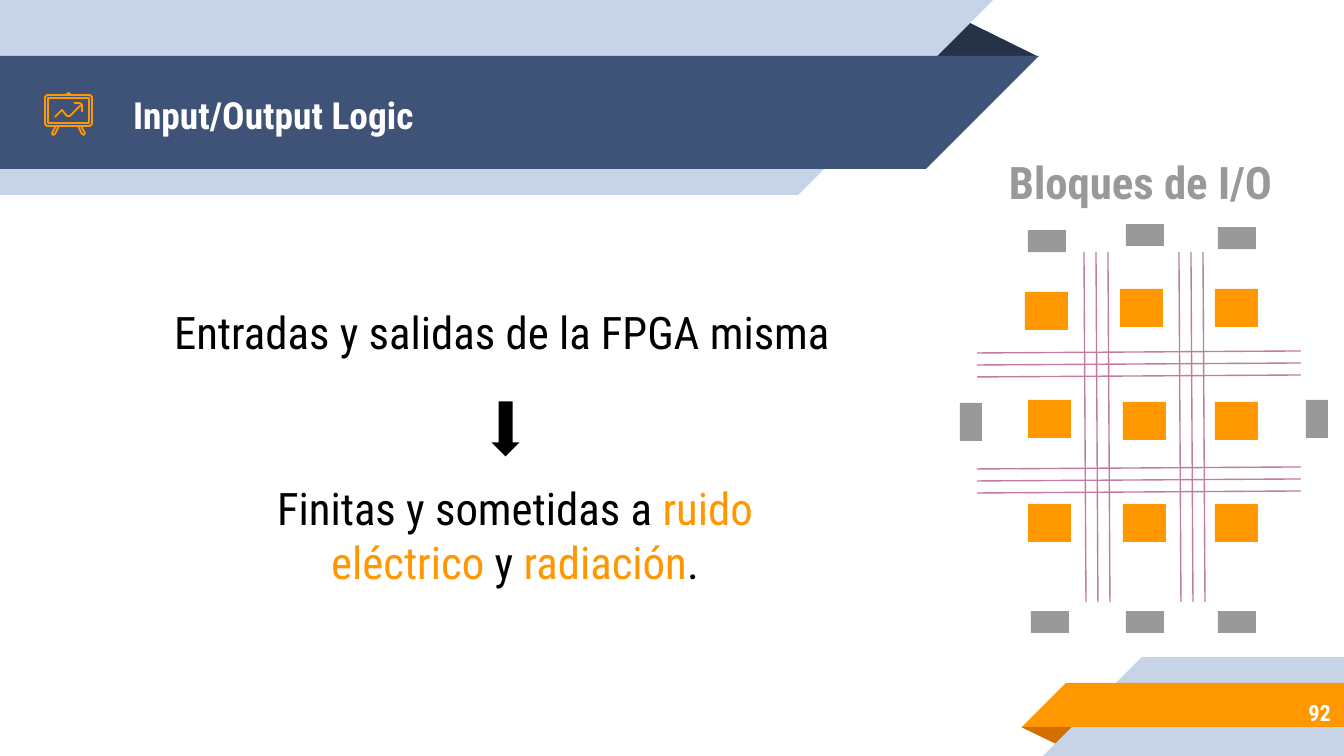
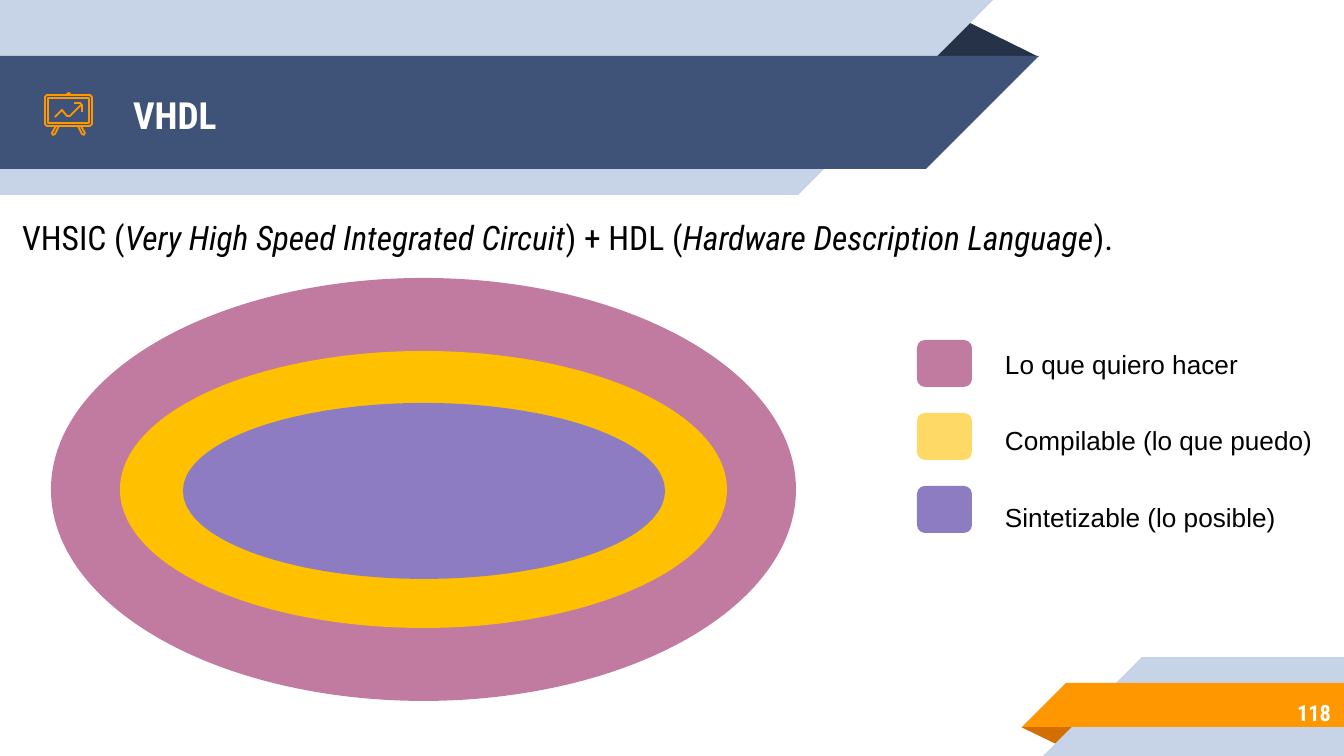
"""Build two FPGA course slides: input/output logic and VHDL."""
from dataclasses import dataclass

from lxml import etree
from pptx import Presentation
from pptx.dml.color import RGBColor
from pptx.enum.shapes import MSO_CONNECTOR, MSO_SHAPE
from pptx.enum.text import MSO_ANCHOR, PP_ALIGN
from pptx.oxml.ns import qn
from pptx.util import Pt

RECT, ROUND, ELLIPSE = MSO_SHAPE.RECTANGLE, MSO_SHAPE.ROUNDED_RECTANGLE, MSO_SHAPE.OVAL
TRIANGLE, CORNER = MSO_SHAPE.ISOSCELES_TRIANGLE, MSO_SHAPE.RIGHT_TRIANGLE
ARROW, STRAIGHT = MSO_SHAPE.RIGHT_ARROW, MSO_CONNECTOR.STRAIGHT
TOP, MIDDLE = MSO_ANCHOR.TOP, MSO_ANCHOR.MIDDLE
LEFT, CENTER, RIGHT = PP_ALIGN.LEFT, PP_ALIGN.CENTER, PP_ALIGN.RIGHT
PX = 914400 / 134.4
W, H, INSET = 1344, 756, 13


@dataclass(frozen=True)
class Theme:
    navy: str = "3F5378"
    dark: str = "263248"
    pale: str = "C7D3E6"
    orange: str = "FF9800"
    rust: str = "D26F00"
    mauve: str = "C27BA0"
    violet: str = "8E7CC3"
    amber: str = "FFC000"
    yellow: str = "FFD966"
    grey: str = "999999"
    black: str = "000000"
    white: str = "FFFFFF"
    font: str = "Roboto Condensed"
    legend_font: str = "Arial"
    title: int = 20
    big: int = 24
    body: int = 18
    legend: int = 14
    number: int = 12
    icon_line: float = 0.96
    wire_line: float = 0.75


T = Theme()

ICON = [
    ([(47, 95), (90, 95), (92, 97), (92, 124), (90, 126), (47, 126), (45, 124), (45, 97)], True),
    ([(67, 95), (67, 94), (69, 93), (70, 94), (70, 95)], False),
    ([(56, 126), (52, 133), (53, 135), (55, 134), (59, 126)], False),
    ([(78, 126), (82, 134), (84, 135), (85, 133), (81, 126)], False),
    ([(48, 98), (48, 123), (89, 123), (89, 98)], True),
    ([(81, 105), (70, 116), (67, 116), (62, 110), (55, 117)], False),
    ([(74, 103), (80, 103), (82, 105), (82, 112)], False),
]
BANDS = [
    (TRIANGLE, (925, 19, 114, 38), T.dark, 0, 0.324),
    (RECT, (0, 0, 798, 195), T.pale, 0, None),
    (CORNER, (798, 0, 195, 195), T.pale, 90, None),
    (RECT, (0, 56, 926, 113), T.navy, 0, None),
    (CORNER, (926, 56, 113, 113), T.navy, 90, None),
    (TRIANGLE, (1021, 727, 58, 19), T.rust, 180, 0.324),
    (RECT, (1142, 657, 202, 99), T.pale, 0, None),
    (CORNER, (1043, 657, 99, 99), T.pale, 270, None),
    (RECT, (1066, 683, 278, 44), T.orange, 0, None),
    (CORNER, (1022, 683, 44, 44), T.orange, 270, None),
]
CELLS = [(1025, 292), (1120, 289), (1215, 289),
         (1028, 400), (1123, 402), (1215, 402),
         (1028, 504), (1123, 504), (1215, 504)]
IO_SIDES = [(960, 403), (1306, 400)]
IO_ENDS = [(1036, 222), (1134, 216), (1226, 219), (1039, 603), (1134, 603), (1226, 603)]


def emu(*lengths):
    return [round(v * PX) for v in lengths]


def rgb(color):
    return RGBColor.from_string(color)


def add_block(s, kind, box, color, rotation=0, adj=None):
    sp = s.shapes.add_shape(kind, *emu(*box))
    sp.shadow.inherit = False
    sp.fill.solid()
    sp.fill.fore_color.rgb = rgb(color)
    sp.line.fill.background()
    sp.rotation = rotation
    if adj is not None:
        sp.adjustments[0] = adj


def add_outline(s, points, closed):
    builder = s.shapes.build_freeform(*points[0], scale=PX)
    builder.add_line_segments(points[1:], close=closed)
    sp = builder.convert_to_shape()
    sp.shadow.inherit = False
    sp.fill.background()
    sp.line.color.rgb = rgb(T.orange)
    sp.line.width = Pt(T.icon_line)


def add_wire(s, x1, y1, x2, y2):
    sp = s.shapes.add_connector(STRAIGHT, *emu(x1, y1, x2, y2))
    sp.line.color.rgb = rgb(T.mauve)
    sp.line.width = Pt(T.wire_line)
    etree.SubElement(sp._element.spPr, qn("a:effectLst"))


def add_text(s, box, runs, size, color=T.black, anchor=TOP, para=None, **font):
    """Add a one-paragraph box from (text, run format) pairs."""
    tf = s.shapes.add_textbox(*emu(*box)).text_frame
    inset = emu(INSET)[0]
    frame = {"word_wrap": True, "vertical_anchor": anchor, "margin_left": inset,
             "margin_right": inset, "margin_top": inset, "margin_bottom": inset}
    for name, value in frame.items():
        setattr(tf, name, value)
    p = tf.paragraphs[0]
    for name, value in {"alignment": LEFT, **(para or {})}.items():
        setattr(p, name, value)
    for text, extra in runs:
        r = p.add_run()
        r.text = text
        fmt = {"name": T.font, "size": Pt(size), "color": color, **font, **extra}
        r.font.color.rgb = rgb(fmt.pop("color"))
        for name, value in fmt.items():
            setattr(r.font, name, value)


def add_base(prs, title, number):
    s = prs.slides.add_slide(prs.slide_layouts[6])
    for band in BANDS:
        add_block(s, *band)
    add_text(s, (120, 58, 773, 113), [(title, {})], T.title, T.white, MIDDLE, bold=True)
    add_text(s, (1125, 689, 219, 47), [(str(number), {})], T.number, T.white, MIDDLE,
             {"alignment": RIGHT}, bold=True)
    for points, closed in ICON:
        add_outline(s, points, closed)
    return s


def add_fpga(s):
    for x, y in CELLS:
        add_block(s, RECT, (x, y, 43, 38), T.orange)
    for i in range(3):
        for x in (1084, 1179):
            add_wire(s, x + 12 * i, 252, x + 12 * i + 2, 602)
        for y in (353, 469):
            add_wire(s, 977, y + 12 * i, 1301, y + 12 * i - 2)
    for places, rotation in ((IO_SIDES, 0), (IO_ENDS, 270)):
        for x, y in places:
            add_block(s, RECT, (x, y, 22, 38), T.grey, rotation)
    add_text(s, (996, 134, 316, 90), [("Bloques de I/O", {})], T.big, T.grey,
             para={"line_spacing": 1.15, "space_after": Pt(10)}, bold=True)


def add_legend(s, entries):
    for i, (label, color) in enumerate(entries):
        add_block(s, ROUND, (917, 340 + 73 * i, 55, 47), color, adj=0.167)
        add_text(s, (992, 335 + 76.5 * i, 352, 44), [(label, {})], T.legend,
                 name=T.legend_font)


def build_io_slide(prs):
    s = add_base(prs, "Input/Output Logic", 92)
    add_text(s, (161, 292, 706, 69), [("Entradas y salidas de la FPGA misma", {})], T.big)
    add_block(s, ARROW, (478, 415, 55, 28), T.black, 90)
    accent = {"color": T.orange}
    add_text(s, (198, 468, 634, 113),
             [("Finitas y sometidas a ", {}), ("ruido eléctrico ", accent), ("y ", {}),
              ("radiación", accent), (".", {})],
             T.big, para={"alignment": CENTER})
    add_fpga(s)


def build_vhdl_slide(prs):
    s = add_base(prs, "VHDL", 118)
    italic = {"italic": True}
    add_text(s, (9, 204, 1180, 47),
             [("VHSIC (", {}), ("Very High Speed Integrated Circuit", italic),
              (") + HDL (", {}), ("Hardware Description Language", italic), (").", {})],
             T.body)
    add_legend(s, [("Lo que quiero hacer", T.mauve),
                   ("Compilable (lo que puedo)", T.yellow),
                   ("Sintetizable (lo posible)", T.violet)])
    for box, color in (((51, 278, 745, 423), T.mauve),
                       ((120, 351, 607, 277), T.amber),
                       ((183, 403, 482, 176), T.violet)):
        add_block(s, ELLIPSE, box, color)


def main():
    prs = Presentation()
    prs.slide_width, prs.slide_height = emu(W, H)
    build_io_slide(prs)
    build_vhdl_slide(prs)
    prs.save("out.pptx")


if __name__ == "__main__":
    main()
